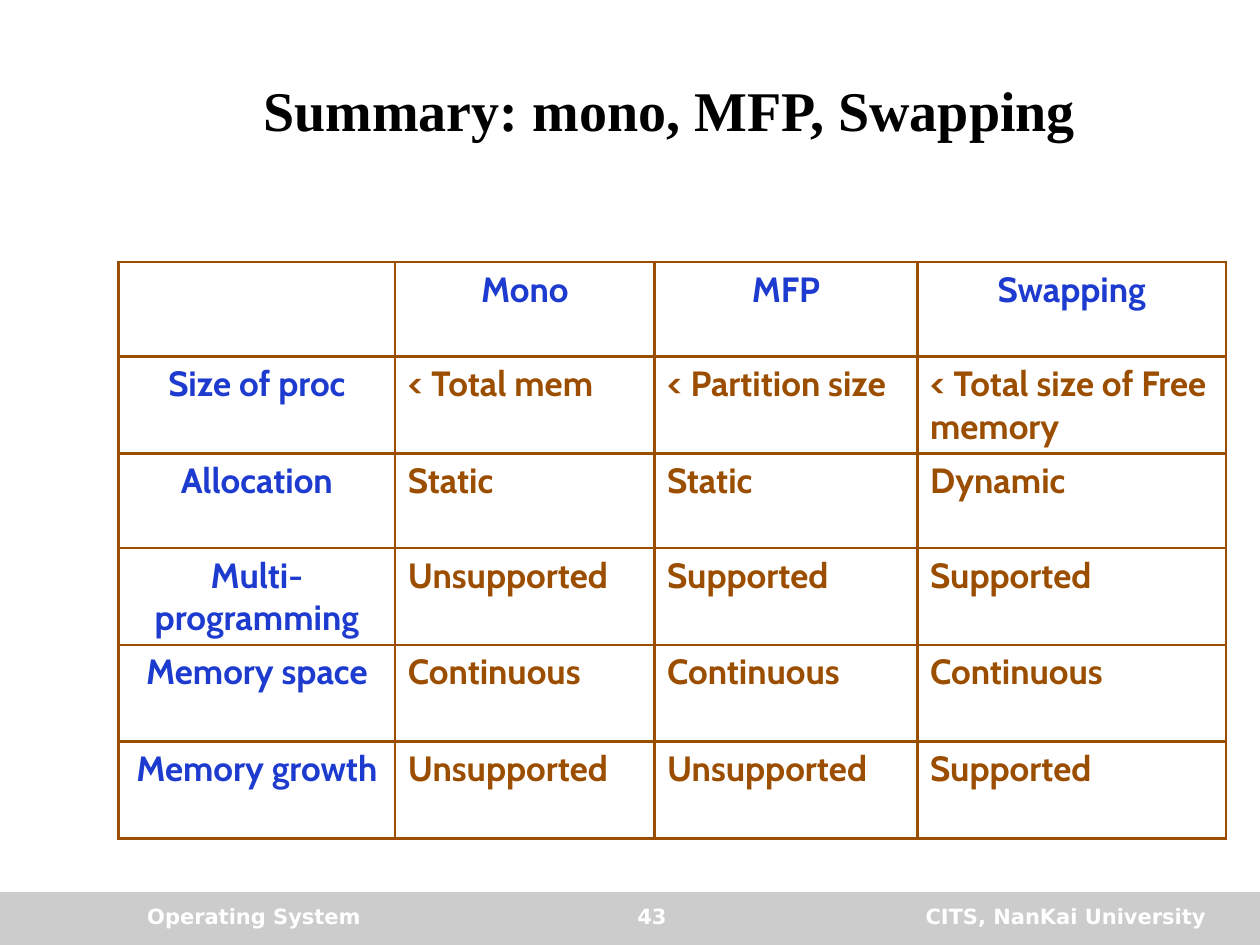
from collections import namedtuple

from lxml import etree
from pptx import Presentation
from pptx import util as u
from pptx.dml.color import RGBColor
from pptx.enum import shapes, text
from pptx.oxml.ns import qn

COLORS = {"paper": "FFFFFF", "ink": "000000", "band": "CCCCCC",
          "heading": "1D3BCE", "value": "9C4E00"}
ALIGN = text.PP_ALIGN
Box = namedtuple("Box", "left top width height")

COLUMN_SHARES = [25, 23.4, 23.75, 27.85]
ROW_SHARES = [16.4, 16.8, 16.4, 16.8, 16.8, 16.8]
COMPARISON = [
    ["", "Mono", "MFP", "Swapping"],
    ["Size of proc", "< Total mem", "< Partition size", "< Total size of Free memory"],
    ["Allocation", "Static", "Static", "Dynamic"],
    ["Multi-programming", "Unsupported", "Supported", "Supported"],
    ["Memory space", "Continuous", "Continuous", "Continuous"],
    ["Memory growth", "Unsupported", "Unsupported", "Supported"],
]
FOOTER = [  # wording, left and width in percent of the band, alignment
    ("Operating System", 10.7, 27.5, ALIGN.LEFT),
    ("43", 40.1, 23.3, ALIGN.CENTER),
    ("CITS, NanKai University", 65, 31.7, ALIGN.RIGHT),
]


def color(name):
    return RGBColor.from_string(COLORS[name])


def part(box, left, top, width, height):
    """Return the part of a box given in percent of its size."""
    return Box(round(box.left + box.width * left / 100),
               round(box.top + box.height * top / 100),
               round(box.width * width / 100),
               round(box.height * height / 100))


def write(frame, wording, *, font, size, ink, align=ALIGN.LEFT,
          anchor=text.MSO_ANCHOR.TOP):
    frame.word_wrap = True
    frame.vertical_anchor = anchor
    paragraph = frame.paragraphs[0]
    paragraph.alignment = align
    run = paragraph.add_run()
    run.text = wording
    run.font.name = font
    run.font.size = u.Pt(size)
    run.font.bold = True
    run.font.color.rgb = color(ink)


def add_title(slide, box):
    title = slide.shapes.title
    title.left, title.top, title.width, title.height = box
    write(title.text_frame, "Summary: mono, MFP, Swapping", font="Times New Roman",
          size=32, ink="ink", align=ALIGN.CENTER, anchor=text.MSO_ANCHOR.MIDDLE)


def add_footer(slide, box):
    band = slide.shapes.add_shape(shapes.MSO_SHAPE.RECTANGLE, *box)
    band.shadow.inherit = False
    band.fill.solid()
    band.fill.fore_color.rgb = color("band")
    band.line.fill.background()
    for wording, left, width, align in FOOTER:
        label = slide.shapes.add_textbox(*part(box, left, 10, width, 79))
        write(label.text_frame, wording, font="DejaVu Sans", size=12,
              ink="paper", align=align)


def draw_borders(cell):
    properties = cell._tc.get_or_add_tcPr()
    for side in ("lnL", "lnR", "lnT", "lnB"):
        border = etree.SubElement(properties, qn(f"a:{side}"), w=str(u.Pt(1.5)))
        fill = etree.SubElement(border, qn("a:solidFill"))
        etree.SubElement(fill, qn("a:srgbClr"), val=COLORS["value"])


def add_comparison(slide, box):
    table = slide.shapes.add_table(len(ROW_SHARES), len(COLUMN_SHARES), *box).table
    table.first_row = table.horz_banding = False
    for column, share in zip(table.columns, COLUMN_SHARES):
        column.width = round(box.width * share / 100)
    for row, share in zip(table.rows, ROW_SHARES):
        row.height = round(box.height * share / 100)
    for r, wordings in enumerate(COMPARISON):
        for c, wording in enumerate(wordings):
            cell = table.cell(r, c)
            draw_borders(cell)
            cell.fill.background()
            if wording:
                is_heading = r == 0 or c == 0
                write(cell.text_frame, wording, font="Cabin", size=20,
                      ink="heading" if is_heading else "value",
                      align=ALIGN.CENTER if is_heading else ALIGN.LEFT)


def main():
    deck = Presentation()
    deck.slide_width, deck.slide_height = u.Inches(10), u.Inches(7.5)
    page = Box(0, 0, deck.slide_width, deck.slide_height)
    slide = deck.slides.add_slide(deck.slide_layouts.get_by_name("Title Only"))
    slide.background.fill.solid()
    slide.background.fill.fore_color.rgb = color("paper")
    add_footer(slide, part(page, 0, 94.4, 100, 5.6))
    add_title(slide, part(page, 10.6, 4.4, 85.1, 14.27))
    add_comparison(slide, part(page, 9.4, 27.73, 87.9, 61))
    deck.save("out.pptx")


if __name__ == "__main__":
    main()
